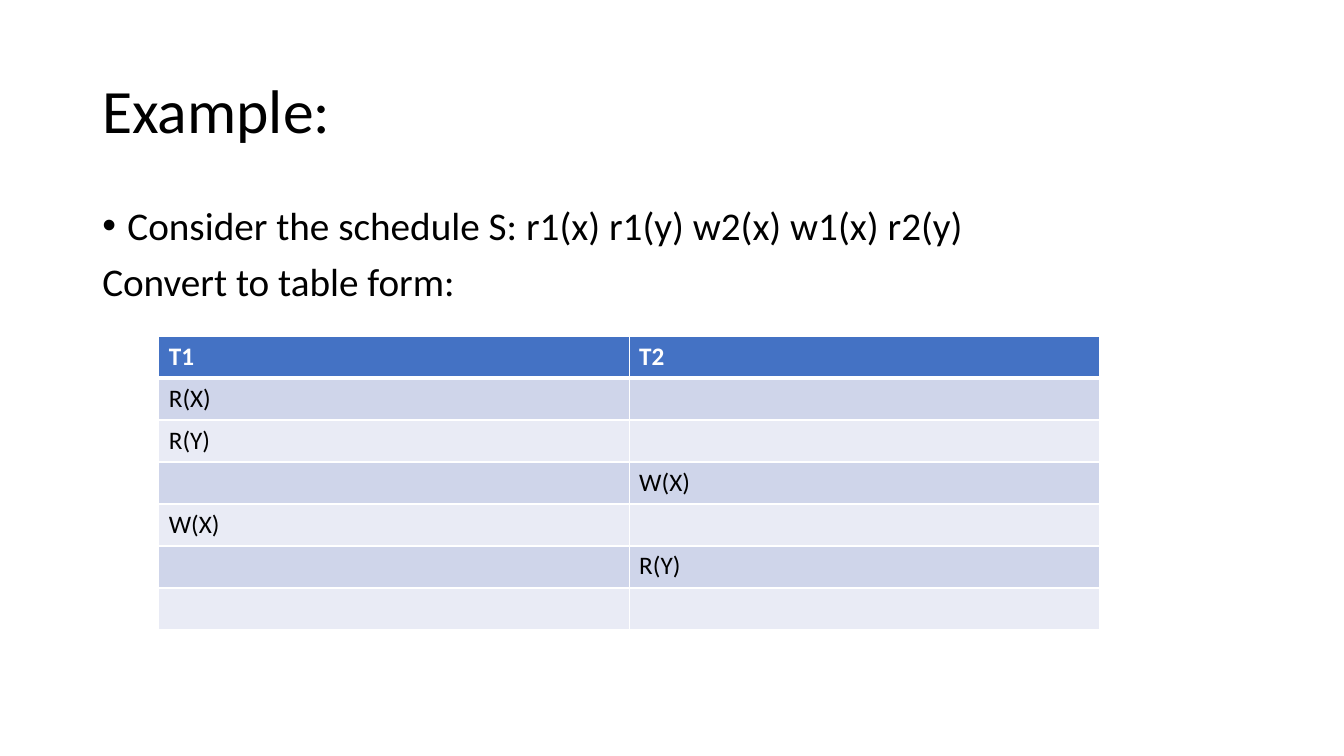
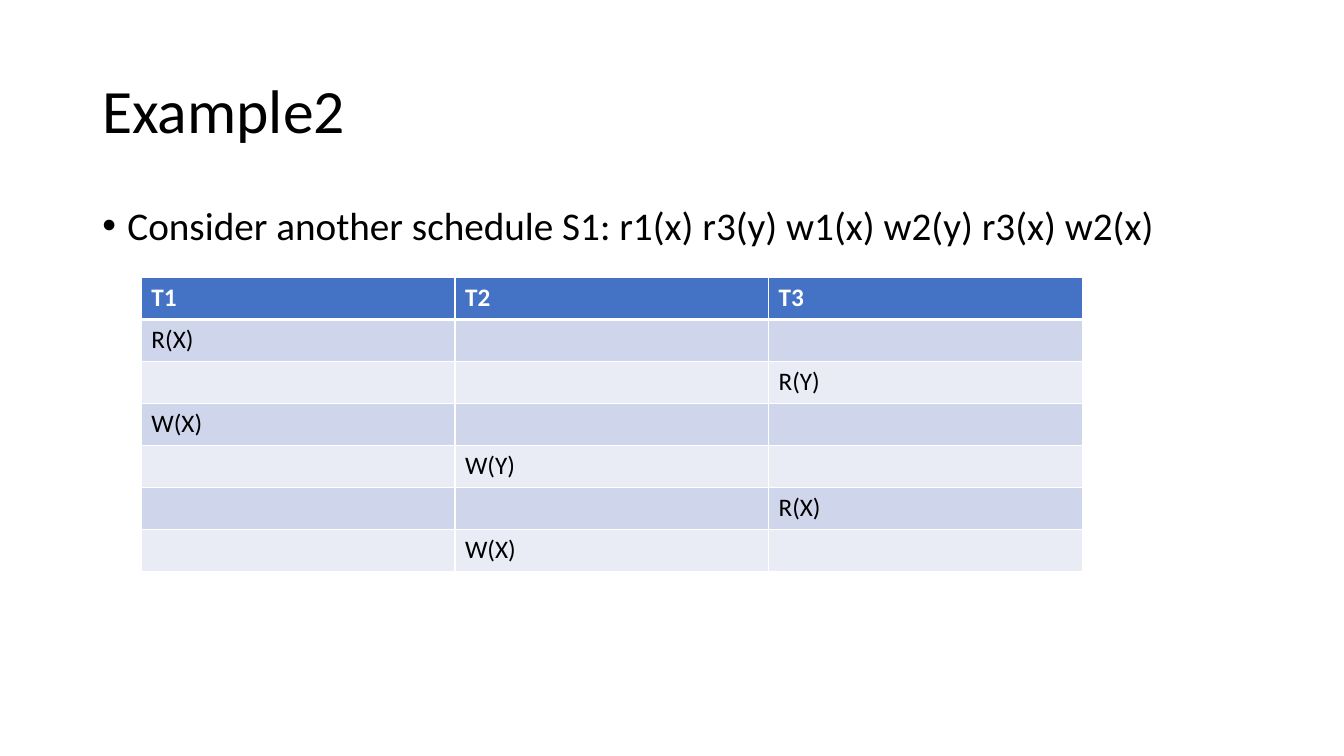
"""Build two slides that turn transaction schedules into table form."""
from lxml.etree import SubElement
from pptx import Presentation
from pptx.dml.color import RGBColor
from pptx.enum.text import MSO_ANCHOR as Anchor
from pptx.oxml.ns import qn
from pptx.util import Pt

FONT = "Calibri"
BLACK, WHITE, HEADER = "000000", "FFFFFF", "4472C4"
BANDS = ["CFD5EA", "E9EBF5"]
LEFT, WIDTH = 66, 828
TABLE_WIDTH, ROW_HEIGHT = 672, 30
BULLET_INDENT = 18


def color(hex_code):
    return RGBColor.from_string(hex_code)


def write(frame, text, size=18, fill=BLACK, bold=False, spacing=1.0, bullet=False, gap=0, first=True):
    paragraph = frame.paragraphs[0] if first else frame.add_paragraph()
    paragraph.line_spacing = spacing
    paragraph.space_before = Pt(0 if first else gap)
    if bullet:
        properties = paragraph._p.get_or_add_pPr()
        properties.set("marL", str(Pt(BULLET_INDENT)))
        properties.set("indent", str(-Pt(BULLET_INDENT)))
        SubElement(properties, qn("a:buFont"), typeface="Arial")
        SubElement(properties, qn("a:buChar"), char="•")
    run = paragraph.add_run()
    run.text = text
    run.font.name, run.font.size, run.font.bold = FONT, Pt(size), bold
    run.font.color.rgb = color(fill)


examples = [
    (
        "Example:",
        ["Consider the schedule S: r1(x) r1(y) w2(x) w1(x) r2(y)", "Convert to table form:"],
        (113.4, 240),
        [
            ["T1", "T2"],
            ["R(X)", ""],
            ["R(Y)", ""],
            ["", "W(X)"],
            ["W(X)", ""],
            ["", "R(Y)"],
            ["", ""],
        ],
    ),
    (
        "Example2",
        ["Consider another schedule S1: r1(x) r3(y) w1(x) w2(y) r3(x) w2(x)"],
        (101, 198.3),
        [
            ["T1", "T2", "T3"],
            ["R(X)", "", ""],
            ["", "", "R(Y)"],
            ["W(X)", "", ""],
            ["", "W(Y)", ""],
            ["", "", "R(X)"],
            ["", "W(X)", ""],
        ],
    ),
]

deck = Presentation()
deck.slide_width, deck.slide_height = Pt(960), Pt(540)

for title, statements, (table_left, table_top), schedule in examples:
    slide = deck.slides.add_slide(deck.slide_layouts[6])

    heading = slide.shapes.add_textbox(Pt(LEFT), Pt(28.75), Pt(WIDTH), Pt(104.4)).text_frame
    heading.word_wrap = True
    heading.vertical_anchor = Anchor.MIDDLE
    write(heading, title, size=44, spacing=0.9)

    body = slide.shapes.add_textbox(Pt(LEFT), Pt(143.75), Pt(WIDTH), Pt(342.6)).text_frame
    body.word_wrap = True
    for index, statement in enumerate(statements):
        first = index == 0
        write(body, statement, size=28, spacing=0.9, bullet=first, gap=10, first=first)

    row_count, column_count = len(schedule), len(schedule[0])
    grid = slide.shapes.add_table(
        row_count, column_count, Pt(table_left), Pt(table_top), Pt(TABLE_WIDTH), Pt(ROW_HEIGHT * row_count)
    ).table
    for column in grid.columns:
        column.width = Pt(TABLE_WIDTH / column_count)
    for row, operations in enumerate(schedule):
        grid.rows[row].height = Pt(ROW_HEIGHT)
        is_header = row == 0
        for column, operation in enumerate(operations):
            cell = grid.cell(row, column)
            edges = {"L": 1, "R": 1, "T": 3 if row == 1 else 1, "B": 3 if is_header else 1}
            for side, thickness in edges.items():
                edge = SubElement(cell._tc.get_or_add_tcPr(), qn(f"a:ln{side}"), w=str(Pt(thickness)))
                SubElement(SubElement(edge, qn("a:solidFill")), qn("a:srgbClr"), val=WHITE)
            cell.fill.solid()
            cell.fill.fore_color.rgb = color(HEADER if is_header else BANDS[(row - 1) % 2])
            if operation:
                write(cell.text_frame, operation, fill=WHITE if is_header else BLACK, bold=is_header)

deck.save("out.pptx")
